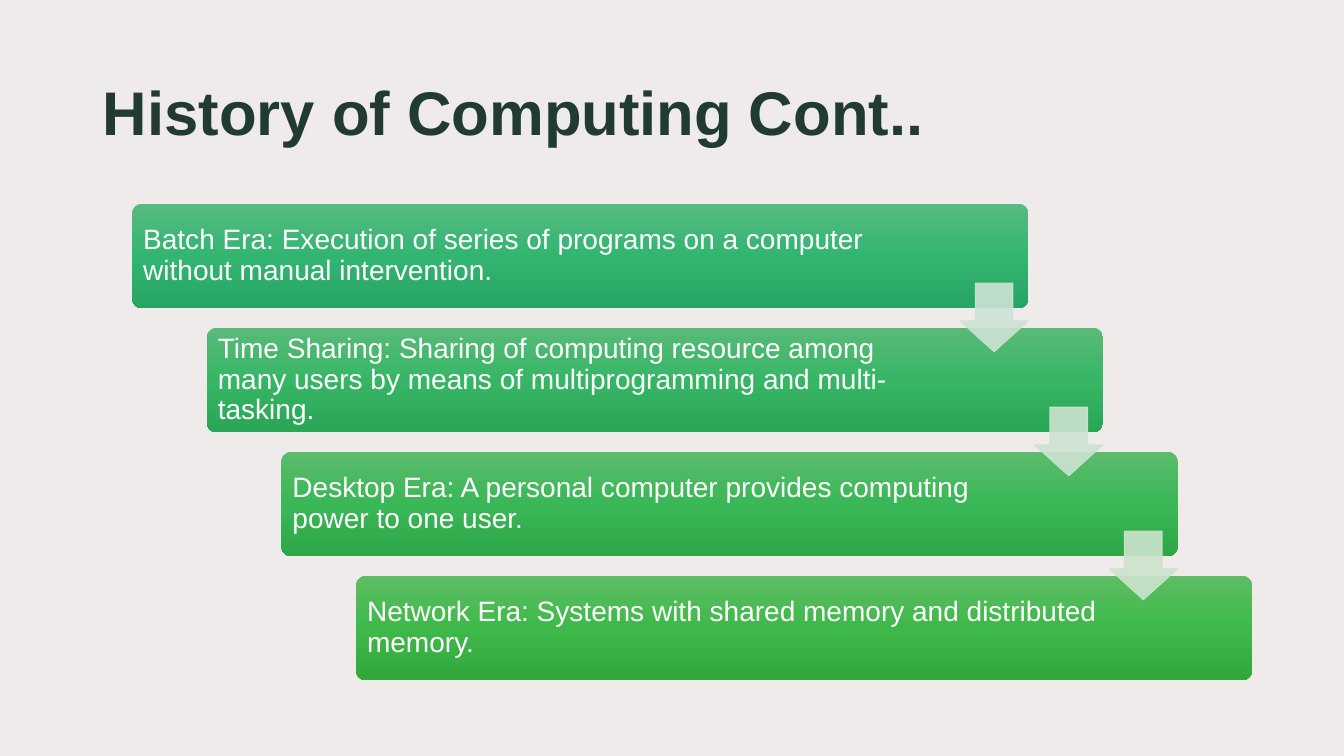
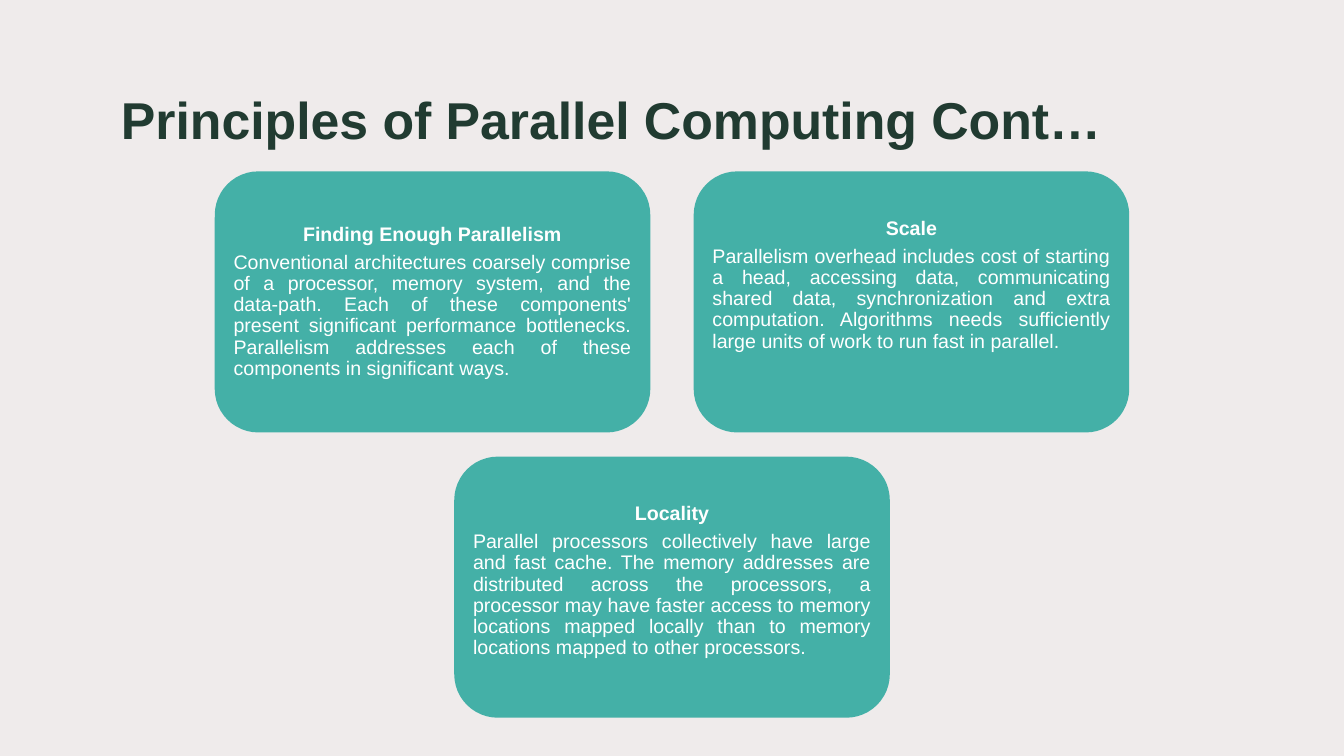
import copy
import dataclasses
import typing

import lxml.etree
import pptx
import pptx.dml.color
import pptx.enum.dml
import pptx.enum.shapes
import pptx.enum.text
import pptx.oxml.ns
import pptx.util

Inch = pptx.util.Inches
Pt = pptx.util.Pt
Kind = pptx.enum.shapes.MSO_SHAPE
Side = pptx.enum.text.PP_ALIGN
Anchor = pptx.enum.text.MSO_ANCHOR
qn = pptx.oxml.ns.qn

COLORS = {"back": "EFEBEB", "title": "213B31", "text": "FFFFFF", "card": "44B0A7"}
FONT = "Arial"


@dataclasses.dataclass(frozen=True)
class Grid:
    left: float
    top: float
    across: float
    down: float
    wide: float
    high: float

    def cell(self, col: float, row: float) -> tuple:
        return tuple(map(Inch, (self.left + col * self.across,
                                self.top + row * self.down, self.wide, self.high)))


@dataclasses.dataclass(frozen=True)
class Head:
    text: str
    size: int
    box: tuple
    frame: dict
    lead: float


@dataclasses.dataclass(frozen=True)
class Era:
    text: str
    shades: tuple


@dataclasses.dataclass(frozen=True)
class Card:
    col: float
    row: int
    name: str
    text: str
    frame: dict


BARS = Grid(1.31, 2.02, 0.74, 1.23, 8.89, 1.04)
ARROWS = Grid(9.52, 2.81, 0.74, 1.23, 0.68, 0.68)
CARDS = Grid(2.13, 1.7, 4.75, 2.83, 4.32, 2.59)

BAR_FRAME = dict(margin_left=Inch(0.08), margin_right=Inch(1.51),
                 margin_top=Inch(0.08), margin_bottom=Inch(0.08),
                 vertical_anchor=Anchor.MIDDLE, word_wrap=True)
MID_FRAME = dict(margin_left=Inch(0.06), margin_right=Inch(0.06),
                 margin_top=Inch(0.06), margin_bottom=Inch(0.06),
                 vertical_anchor=Anchor.MIDDLE, word_wrap=True)
TOP_FRAME = MID_FRAME | dict(margin_top=Inch(0.34), vertical_anchor=Anchor.TOP)

HEADS = (
    Head("History of Computing Cont..", 44, (0.92, 0.61, 11.32, 1.4),
         dict(vertical_anchor=Anchor.TOP, margin_top=Inch(0.12)), 1.0),
    Head("Principles of Parallel Computing Cont…", 37, (1.1, 0.61, 10.08, 1.22),
         dict(vertical_anchor=Anchor.MIDDLE, margin_top=Inch(0.05)), 0.9),
)
ERAS = (
    Era("Batch Era: Execution of series of programs on a computer "
        "without manual intervention.", ("57BA82", "32B571", "27A564")),
    Era("Time Sharing: Sharing of computing resource among many users by means "
        "of multiprogramming and multi-tasking.", ("59BA78", "36B665", "2AA656")),
    Era("Desktop Era: A personal computer provides computing power to one user.",
        ("5BBC6D", "3AB756", "2DA749")),
    Era("Network Era: Systems with shared memory and distributed memory.",
        ("5EBD65", "3EB949", "32A83C")),
)
TINTS = ("CDE3D5", "CCE3D0", "CDE3CD")
TOPICS = (
    Card(0, 0, "Finding Enough Parallelism",
         "Conventional architectures coarsely comprise of a processor, memory "
         "system, and the data-path. Each of these components' present significant "
         "performance bottlenecks. Parallelism addresses each of these components "
         "in significant ways.", MID_FRAME),
    Card(1, 0, "Scale",
         "Parallelism overhead includes cost of starting a head, accessing data, "
         "communicating shared data, synchronization and extra computation. "
         "Algorithms needs sufficiently large units of work to run fast in "
         "parallel.", TOP_FRAME),
    Card(0.5, 1, "Locality",
         "Parallel processors collectively have large and fast cache. The memory "
         "addresses are distributed across the processors, a processor may have "
         "faster access to memory locations mapped locally than to memory "
         "locations mapped to other processors.", TOP_FRAME),
)


def apply(target: typing.Any, values: dict) -> None:
    for name, value in values.items():
        setattr(target, name, value)


def color(key: str) -> pptx.dml.color.RGBColor:
    return pptx.dml.color.RGBColor.from_string(COLORS.get(key, key))


def paint(fill: typing.Any, key: str) -> None:
    fill.solid()
    fill.fore_color.rgb = color(key)


def style(line: typing.Any, text: str, size: int, key: str,
          bold: bool, form: dict) -> None:
    line.text = text
    apply(line, form)
    apply(line.font, dict(name=FONT, size=Pt(size), bold=bold))
    line.font.color.rgb = color(key)


def start(deck: typing.Any, head: Head) -> typing.Any:
    slide = deck.slides.add_slide(deck.slide_layouts[5])
    title = slide.shapes.title
    apply(title, dict(zip(("left", "top", "width", "height"), map(Inch, head.box))))
    apply(title.text_frame, head.frame | dict(
        word_wrap=True, auto_size=pptx.enum.text.MSO_AUTO_SIZE.NONE))
    style(title.text_frame.paragraphs[0], head.text, head.size, "title", True,
          dict(alignment=Side.LEFT, line_spacing=head.lead))
    return slide


def block(slide: typing.Any, kind: typing.Any, box: tuple) -> typing.Any:
    shape = slide.shapes.add_shape(kind, *box)
    shape.shadow.inherit = False
    shape.line.fill.background()
    return shape


def blend(shape: typing.Any, shades: tuple) -> None:
    fill = shape.fill
    fill.gradient()
    fill.gradient_angle = 270
    stops = shape.element.spPr.find(qn("a:gradFill")).find(qn("a:gsLst"))
    stops.append(copy.deepcopy(stops[-1]))
    for stop, place, shade in zip(fill.gradient_stops, (0, 0.5, 1), shades):
        stop.position = place
        stop.color.rgb = color(shade)


def draw_bar(slide: typing.Any, step: int, era: Era) -> None:
    bar = block(slide, Kind.ROUNDED_RECTANGLE, BARS.cell(step, step))
    bar.adjustments[0] = 0.1
    blend(bar, era.shades)
    apply(bar.text_frame, BAR_FRAME)
    style(bar.text_frame.paragraphs[0], era.text, 20, "text", False,
          dict(alignment=Side.LEFT, line_spacing=0.9))


def draw_arrow(slide: typing.Any, step: int, tint: str) -> None:
    arrow = block(slide, Kind.DOWN_ARROW, ARROWS.cell(step, step))
    arrow.adjustments[0], arrow.adjustments[1] = 0.55, 0.45
    paint(arrow.fill, tint)
    paint(arrow.line.fill, tint)
    arrow.line.width = Pt(0.75)
    for node in arrow.element.spPr.iter(qn("a:srgbClr")):
        lxml.etree.SubElement(node, qn("a:alpha")).set("val", "90000")


def draw_card(slide: typing.Any, card: Card) -> None:
    shape = block(slide, Kind.FLOWCHART_ALTERNATE_PROCESS,
                  CARDS.cell(card.col, card.row))
    paint(shape.fill, "card")
    frame = shape.text_frame
    apply(frame, card.frame)
    style(frame.paragraphs[0], card.name, 14, "text", True,
          dict(alignment=Side.CENTER, line_spacing=0.9))
    style(frame.add_paragraph(), card.text, 14, "text", False,
          dict(alignment=Side.JUSTIFY, line_spacing=0.9, space_before=Pt(4.9)))


def main() -> None:
    deck = pptx.Presentation()
    apply(deck, dict(slide_width=Inch(13.33), slide_height=Inch(7.5)))
    paint(deck.slide_master.background.fill, "back")
    eras, topics = (start(deck, head) for head in HEADS)
    for step, era in enumerate(ERAS):
        draw_bar(eras, step, era)
    for step, tint in enumerate(TINTS):
        draw_arrow(eras, step, tint)
    for card in TOPICS:
        draw_card(topics, card)
    deck.save("out.pptx")


if __name__ == "__main__":
    main()
